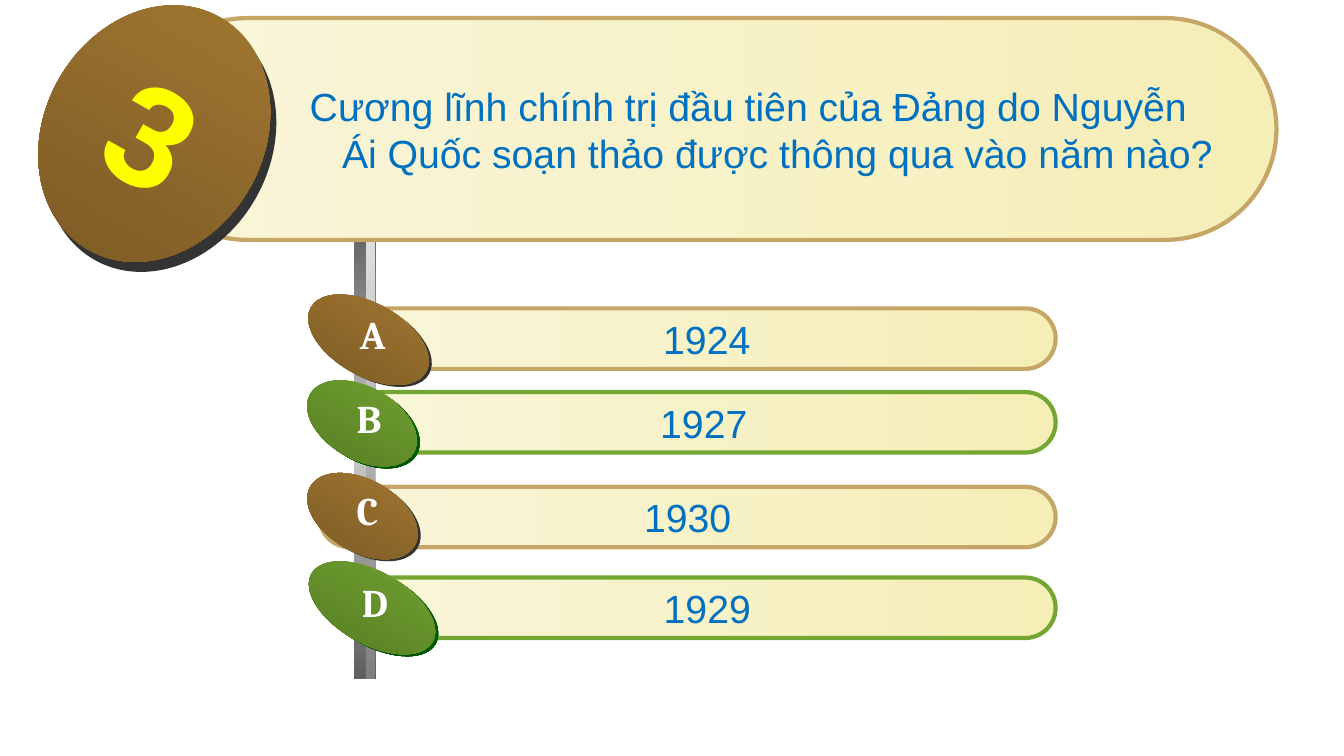
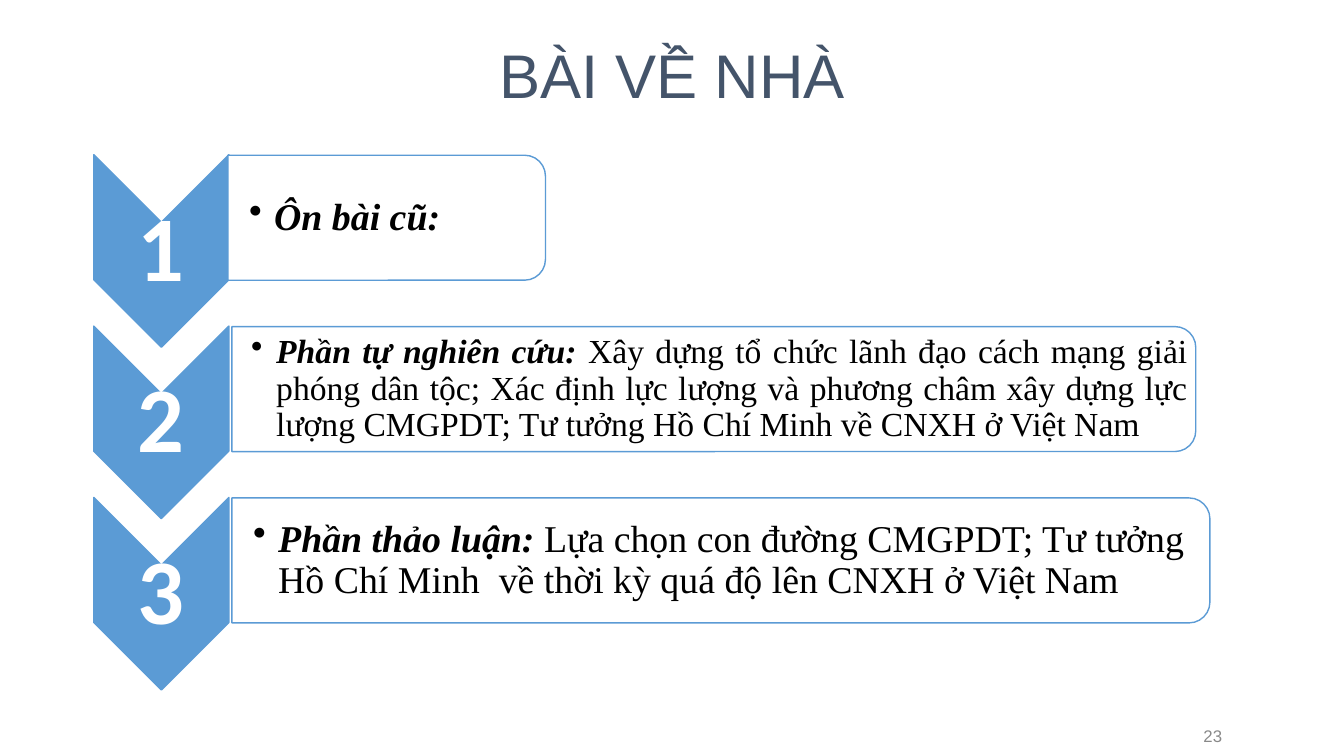
"""Build a quiz slide and a homework slide in one shared style."""
import lxml.etree
import pptx
import pptx.dml.color
import pptx.enum.shapes
import pptx.enum.text
import pptx.oxml.ns
import pptx.util

Inches = pptx.util.Inches
Pt = pptx.util.Pt
RGBColor = pptx.dml.color.RGBColor
SHAPE = pptx.enum.shapes.MSO_SHAPE
ALIGN = pptx.enum.text.PP_ALIGN
ANCHOR = pptx.enum.text.MSO_ANCHOR
qn = pptx.oxml.ns.qn

WHITE = RGBColor(0xFF, 0xFF, 0xFF)
BLACK = RGBColor(0x00, 0x00, 0x00)
BLUE = RGBColor(0x5B, 0x9B, 0xD5)
TEXT_BLUE = RGBColor(0x00, 0x70, 0xC0)
SLATE = RGBColor(0x44, 0x54, 0x6A)
GRAY = RGBColor(0x89, 0x89, 0x89)
YELLOW = RGBColor(0xFF, 0xFF, 0x00)
TAN = RGBColor(0xC5, 0xA6, 0x67)
GREEN = RGBColor(0x74, 0xA7, 0x31)
CHARCOAL = RGBColor(0x33, 0x33, 0x33)
STEEL = RGBColor(0x5F, 0x5F, 0x5F)
CREAM_BLEND = (RGBColor(0xF9, 0xF5, 0xD9), RGBColor(0xF5, 0xEE, 0xB7))
BROWN_BLEND = (RGBColor(0xA6, 0x7A, 0x32), RGBColor(0x77, 0x57, 0x24))
GREEN_BLEND = (GREEN, RGBColor(0x53, 0x77, 0x23))
DARK_GREEN_BLEND = (RGBColor(0x00, 0x66, 0x00), RGBColor(0x00, 0x49, 0x00))
ROD_BLEND = (STEEL, RGBColor(0xCB, 0xCB, 0xCB), STEEL)
SHINE_BLEND = (RGBColor(0xE2, 0xE2, 0xE2), RGBColor(0x80, 0x80, 0x80))

BROWN_STYLE = (TAN, BROWN_BLEND, CHARCOAL)
GREEN_STYLE = (GREEN, GREEN_BLEND, DARK_GREEN_BLEND)
TILT = 29.3
ACROSS, DOWN = 0, 270


class Painter:
    """Hold the deck style and draw on the current slide."""

    def __init__(self):
        self.deck = pptx.Presentation()
        self.deck.slide_width = Inches(13.33)
        self.deck.slide_height = Inches(7.5)
        self.page = None

    def new_page(self):
        """Start a blank slide."""
        self.page = self.deck.slides.add_slide(self.deck.slide_layouts[6])

    def shape(self, kind, place, fill, line=None, width=1, turn=0, angle=DOWN):
        """Add a preset shape with a plain or blended fill."""
        shape = self.page.shapes.add_shape(kind, *map(Inches, place))
        shape.shadow.inherit = False
        shape.rotation = turn
        if isinstance(fill, RGBColor):
            shape.fill.solid()
            shape.fill.fore_color.rgb = fill
        else:
            self.blend(shape, fill, angle)
        if line is None:
            shape.line.fill.background()
        else:
            shape.line.color.rgb = line
            shape.line.width = Pt(width)
        return shape

    def blend(self, shape, colors, angle):
        """Fill a shape with evenly spaced gradient stops."""
        shape.fill.gradient()
        shape.fill.gradient_angle = angle
        stops = shape._element.spPr.find(qn("a:gradFill")).find(qn("a:gsLst"))
        for stop in list(stops):
            stops.remove(stop)
        for index, color in enumerate(colors):
            position = str(100000 * index // (len(colors) - 1))
            stop = lxml.etree.SubElement(stops, qn("a:gs"), pos=position)
            lxml.etree.SubElement(stop, qn("a:srgbClr"), val=str(color))

    def set_text(self, shape, lines, size, font, color, bold=False,
                 align=ALIGN.CENTER, anchor=ANCHOR.MIDDLE, wrap=True, spacing=1.0):
        """Put lines of text in a shape and format them."""
        frame = shape.text_frame
        frame.text = lines
        frame.word_wrap = wrap
        frame.vertical_anchor = anchor
        for para in frame.paragraphs:
            para.alignment = align
            para.line_spacing = spacing
            for span in para.runs:
                self.style(span, size, font, color, bold)
        return frame

    def style(self, span, size, font, color, bold=False, italic=False):
        """Format one run."""
        span.font.size = Pt(size)
        span.font.name = font
        span.font.color.rgb = color
        span.font.bold = bold
        span.font.italic = italic

    def label(self, place, text, size, font, color, **options):
        """Add a text box."""
        box = self.page.shapes.add_textbox(*map(Inches, place))
        return self.set_text(box, text, size, font, color, **options)

    def indent(self, para, left, first=0.0):
        """Set the left and first-line indents of a paragraph."""
        settings = para._p.get_or_add_pPr()
        settings.set("marL", str(Inches(left)))
        settings.set("indent", str(Inches(first)))
        return settings

    def bar(self, place, line):
        """Add a cream bar with round ends."""
        bar = self.shape(SHAPE.ROUNDED_RECTANGLE, place, CREAM_BLEND, line, 3, angle=ACROSS)
        bar.adjustments[0] = 0.5
        return bar

    def knob(self, place, fill, shade, offset):
        """Add a tilted ellipse over its darker edge."""
        left, top, width, height = place
        edge = (left + offset[0], top + offset[1], width, height)
        self.shape(SHAPE.OVAL, edge, shade, turn=TILT)
        return self.shape(SHAPE.OVAL, place, fill, turn=TILT)

    def answer(self, letter, year, bar_at, knob_top, knob_width, letter_left, look):
        """Add one answer bar with its lettered knob."""
        line, fill, shade = look
        left, top = bar_at
        bar = self.bar((left, top, 10.47 - left, 0.6), line)
        self.set_text(bar, year, 28, "Arial", TEXT_BLUE, wrap=False)
        self.knob((3, knob_top, knob_width, 0.72), fill, shade, (0.03, 0.02))
        self.label((letter_left, knob_top + 0.02, 0.4, 0.57), letter, 28, "Cambria",
                   WHITE, bold=True, anchor=ANCHOR.TOP, wrap=False)

    def turned(self, kind, center, width, height, fill):
        """Add a shape turned a quarter, given its size as seen."""
        place = (center[0] - height / 2, center[1] - width / 2, height, width)
        return self.shape(kind, place, fill, BLUE, turn=90)

    def task(self, index, left, width, inset, size, align, lead, rest):
        """Add one numbered chevron with its task card."""
        shift = 1.7 * index
        self.turned(SHAPE.CHEVRON, (1.6, 2.49 + shift), 1.34, 1.91, BLUE)
        self.label((0.93, 2.21 + shift, 1.34, 0.57), str(index + 1), 66, "Calibri",
                   WHITE, bold=True, spacing=0.9)
        self.turned(SHAPE.ROUND_2_SAME_RECTANGLE, (left + width / 2, 2.16 + shift),
                    width, 1.24, WHITE)
        frame = self.label((left, 1.6 + shift, width - 0.06, 1.12), lead, size,
                           "Times New Roman", BLACK, bold=True, align=align, spacing=0.9)
        frame.margin_left = Inches(inset)
        frame.margin_right = frame.margin_top = frame.margin_bottom = Inches(0.02)
        para = frame.paragraphs[0]
        para.runs[0].font.italic = True
        if rest:
            span = para.add_run()
            span.text = rest
            self.style(span, size, "Times New Roman", BLACK)
        settings = self.indent(para, 0.25, -0.25)
        lxml.etree.SubElement(settings, qn("a:buChar"), char="•")


def quiz(painter):
    """Draw the question with four answers."""
    painter.new_page()
    painter.shape(SHAPE.RECTANGLE, (3.51, 2.19, 0.22, 4.55), ROD_BLEND)
    painter.shape(SHAPE.RECTANGLE, (3.63, 2.19, 0.09, 4.55), SHINE_BLEND)
    question = painter.bar((1.35, 0.18, 11.31, 2.2), TAN)
    frame = painter.set_text(
        question,
        "Cương lĩnh chính trị đầu tiên của Đảng do Nguyễn\n"
        "Ái Quốc soạn thảo được thông qua vào năm nào?",
        28, "Arial", TEXT_BLUE, align=ALIGN.LEFT)
    frame.margin_left = Inches(1.4)
    frame.margin_right = 0
    painter.indent(frame.paragraphs[1], 0.32)
    number = painter.knob((0.44, 0, 2.18, 2.65), BROWN_BLEND, CHARCOAL, (0.06, 0.1))
    painter.set_text(number, "3", 100, "Roboto", YELLOW, bold=True, wrap=False)
    answers = (
        ("A", "1924", (3.55, 3.06), 3.01, 1.31, 3.47, BROWN_STYLE),
        ("B", "1927", (3.49, 3.89), 3.84, 1.18, 3.44, GREEN_STYLE),
        ("C", "1930", (3.17, 4.83), 4.76, 1.19, 3.44, BROWN_STYLE),
        ("D", "1929", (3.56, 5.73), 5.67, 1.38, 3.49, GREEN_STYLE),
    )
    for answer in answers:
        painter.answer(*answer)


def homework(painter):
    """Draw the three homework tasks."""
    painter.new_page()
    painter.label((0.92, 0.27, 11.5, 1.02), "BÀI VỀ NHÀ", 44, "Arial", SLATE, spacing=0.9)
    tasks = (
        (2.26, 3.15, 0.21, 27, ALIGN.LEFT, "Ôn bài cũ:", ""),
        (2.3, 9.56, 0.19, 24, ALIGN.JUSTIFY, "Phần tự nghiên cứu: ",
         "Xây dựng tổ chức lãnh đạo cách mạng giải phóng dân tộc; Xác định lực lượng "
         "và phương châm xây dựng lực lượng CMGPDT; Tư tưởng Hồ Chí Minh về CNXH ở Việt Nam"),
        (2.3, 9.7, 0.21, 27, ALIGN.LEFT, "Phần thảo luận: ",
         "Lựa chọn con đường CMGPDT; Tư tưởng Hồ Chí Minh  về thời kỳ quá độ lên CNXH "
         "ở Việt Nam"),
    )
    for index, task in enumerate(tasks):
        painter.task(index, *task)
    painter.label((9.22, 7.1, 3, 0.4), "23", 12, "Arial", GRAY, align=ALIGN.RIGHT)


def main():
    """Build and save the deck."""
    painter = Painter()
    quiz(painter)
    homework(painter)
    painter.deck.save("out.pptx")


if __name__ == "__main__":
    main()
